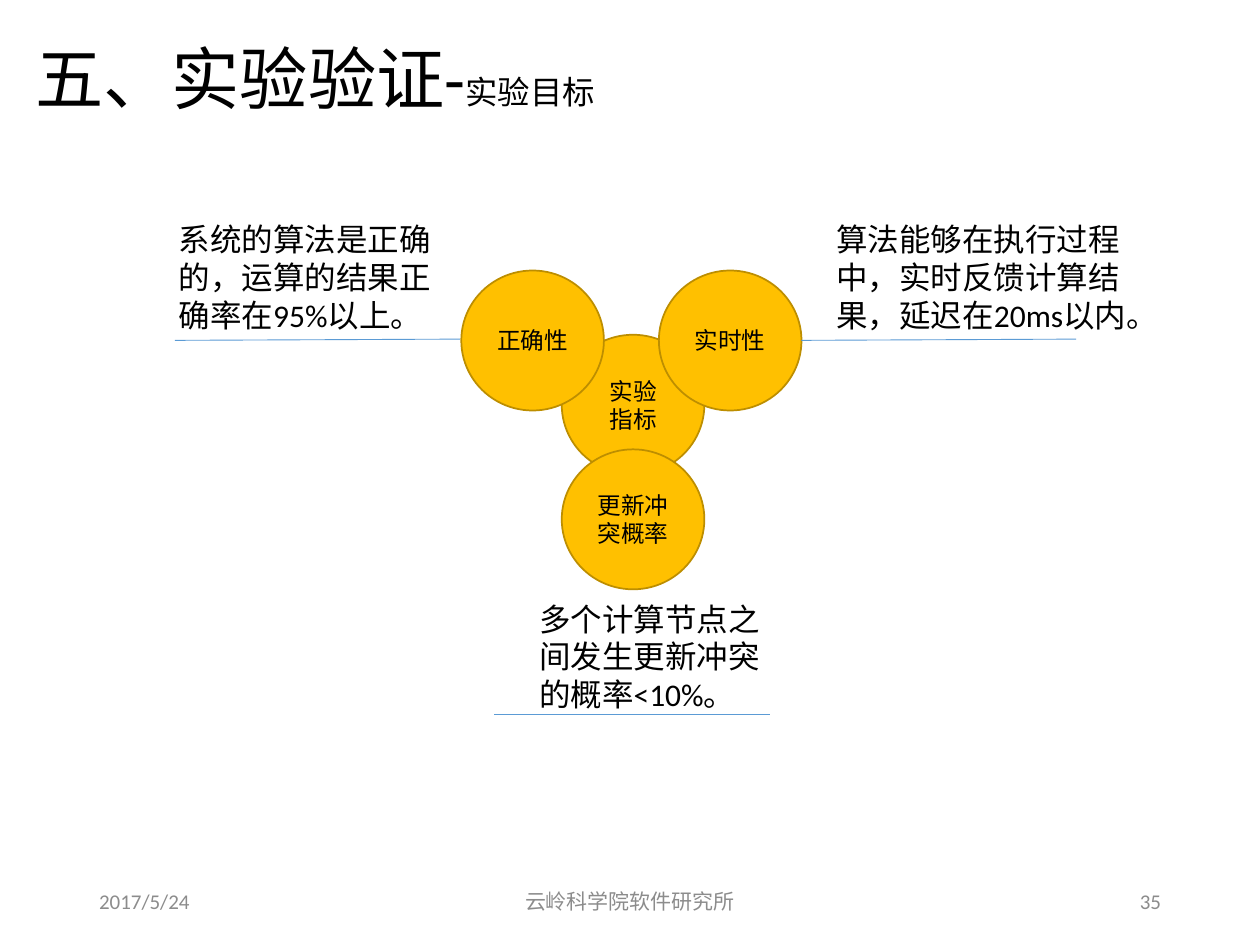
from dataclasses import dataclass

from lxml import etree
from pptx import Presentation
from pptx.dml.color import RGBColor
from pptx.enum import shapes, text
from pptx.oxml import ns
from pptx.util import Pt


@dataclass(frozen=True)
class Theme:
    font: str = "Calibri"
    ink: RGBColor = RGBColor(0, 0, 0)
    muted: RGBColor = RGBColor(0x8C, 0x8C, 0x8C)
    gold: RGBColor = RGBColor(0xFF, 0xC0, 0x00)
    gold_edge: RGBColor = RGBColor(0xBD, 0x8E, 0x00)
    blue: RGBColor = RGBColor(0x5B, 0x9B, 0xD5)
    title: float = 39
    subtitle: float = 18.5
    body: float = 18
    circle: float = 13.5
    footer: float = 12


theme = Theme()
LEFT, CENTER, RIGHT = text.PP_ALIGN.LEFT, text.PP_ALIGN.CENTER, text.PP_ALIGN.RIGHT
MIDDLE, TOP = text.MSO_ANCHOR.MIDDLE, text.MSO_ANCHOR.TOP


def write(shape, content, size, color=theme.ink, align=LEFT, anchor=MIDDLE):
    frame = shape.text_frame
    frame.text = content
    frame.word_wrap = True
    frame.vertical_anchor = anchor
    for paragraph in frame.paragraphs:
        paragraph.alignment = align
        for run in paragraph.runs:
            run.font.name = theme.font
            run.font.size = Pt(size)
            run.font.color.rgb = color


def add_text(left, top, width, height, *style):
    box = slide.shapes.add_textbox(Pt(left), Pt(top), Pt(width), Pt(height))
    write(box, *style)
    return box


presentation = Presentation()
presentation.slide_width, presentation.slide_height = Pt(720), Pt(540)
slide = presentation.slides.add_slide(presentation.slide_layouts[6])

# Circles: the hub first, its three indicators on top
CIRCLE_WIDTH, CIRCLE_HEIGHT = 81.5, 80
for left, top, label in [
    (321, 191.3, "实验\n指标"),
    (376.5, 154.6, "实时性"),
    (321, 256.8, "更新冲突概率"),
    (263.6, 154.6, "正确性"),
]:
    circle = slide.shapes.add_shape(
        shapes.MSO_SHAPE.FLOWCHART_CONNECTOR,
        Pt(left), Pt(top), Pt(CIRCLE_WIDTH), Pt(CIRCLE_HEIGHT),
    )
    circle.shadow.inherit = False
    circle.fill.solid()
    circle.fill.fore_color.rgb = theme.gold
    circle.line.color.rgb = theme.gold_edge
    circle.line.width = Pt(1)
    write(circle, label, theme.circle, theme.ink, CENTER)

# Explanations of the indicators
for left, top, width, explanation in [
    (95, 122.4, 173.5, "系统的算法是正确的，运算的结果正确率在95%以上。"),
    (470.9, 122.4, 180.7, "算法能够在执行过程中，实时反馈计算结果，延迟在20ms以内。"),
    (301, 339.1, 153.4, "多个计算节点之间发生更新冲突的概率<10%。"),
]:
    box = add_text(left, top, width, 72.7, explanation, theme.body, theme.ink, LEFT, TOP)
    box.text_frame.auto_size = text.MSO_AUTO_SIZE.SHAPE_TO_FIT_TEXT

# Rules under the explanations
for start_x, start_y, end_x, end_y in [
    (262.8, 193.8, 100, 194.5),
    (614.9, 193.8, 458, 194.5),
    (440, 408.2, 282.2, 408.2),
]:
    rule = slide.shapes.add_connector(
        shapes.MSO_CONNECTOR.STRAIGHT, Pt(start_x), Pt(start_y), Pt(end_x), Pt(end_y)
    )
    rule.line.color.rgb = theme.blue
    rule.line.width = Pt(0.5)
    etree.SubElement(rule._element.spPr, ns.qn("a:effectLst"))

# Title with a smaller subtitle on the same line
title = add_text(13, 21.6, 620.6, 51.1, "五、实验验证-", theme.title)
title_line = title.text_frame.paragraphs[0]
title_line.line_spacing = 0.9
subtitle = title_line.add_run()
subtitle.text = "实验目标"
subtitle.font.name = theme.font
subtitle.font.size = Pt(theme.subtitle)
subtitle.font.color.rgb = theme.ink

# Footer
for left, width, content, align in [
    (508.5, 162, "35", RIGHT),
    (49.5, 162, "2017/5/24", LEFT),
    (238.5, 243, "云岭科学院软件研究所", CENTER),
]:
    add_text(left, 500.5, width, 28.75, content, theme.footer, theme.muted, align)

presentation.save("out.pptx")
